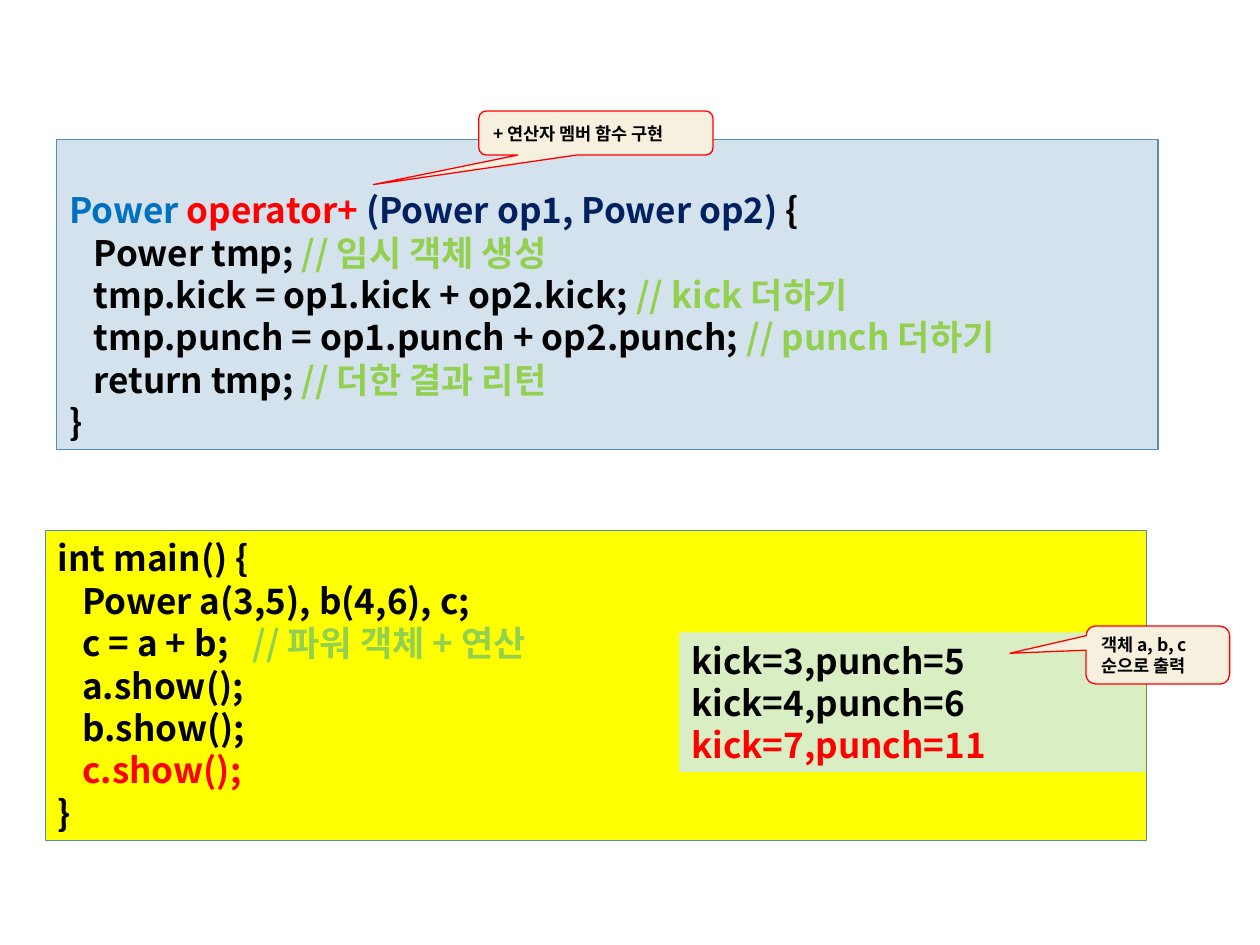
import pptx
import pptx.dml.color
import pptx.enum.shapes
import pptx.enum.text
import pptx.oxml.ns
import pptx.util
from lxml import etree

Pt = pptx.util.Pt
RGBColor = pptx.dml.color.RGBColor
SHAPES = pptx.enum.shapes.MSO_SHAPE
ANCHORS = pptx.enum.text.MSO_ANCHOR

FONT = "Noto Sans CJK KR"
LINE_PITCH = 1.21
TAB_STOP = 14

BLACK = RGBColor(0x00, 0x00, 0x00)
RED = RGBColor(0xFF, 0x00, 0x00)
BLUE = RGBColor(0x00, 0x70, 0xC0)
NAVY = RGBColor(0x00, 0x20, 0x60)
GREEN = RGBColor(0x92, 0xD0, 0x50)
STEEL = RGBColor(0x55, 0x8B, 0xB8)
PALE_BLUE = RGBColor(0xD4, 0xE2, 0xED)
YELLOW = RGBColor(0xFF, 0xFF, 0x00)
PALE_GREEN = RGBColor(0xDA, 0xEE, 0xC4)
CREAM = RGBColor(0xF7, 0xF0, 0xDE)

# Content: each line is a list of (text, colour) runs
OPERATOR_CODE = [
    [("Power ", BLUE), ("operator+ ", RED), ("(Power op1, Power op2) ", NAVY), ("{", BLACK)],
    [("\tPower tmp; ", BLACK), ("// 임시 객체 생성", GREEN)],
    [("\ttmp.kick = op1.kick + op2.kick; ", BLACK), ("// kick 더하기", GREEN)],
    [("\ttmp.punch = op1.punch + op2.punch; ", BLACK), ("// punch 더하기", GREEN)],
    [("\treturn tmp; ", BLACK), ("// 더한 결과 리턴", GREEN)],
    [("}", BLACK)],
]
MAIN_CODE = [
    [("int main() {", BLACK)],
    [("\tPower a(3,5), b(4,6), c;", BLACK)],
    [("\tc = a + b;   ", BLACK), ("// 파워 객체 + 연산", GREEN)],
    [("\ta.show();", BLACK)],
    [("\tb.show();", BLACK)],
    [("\tc.show();", RED)],
    [("}", BLACK)],
]
OUTPUT = [
    [("kick=3,punch=5", BLACK)],
    [("kick=4,punch=6", BLACK)],
    [("kick=7,punch=11", RED)],
]
OPERATOR_NOTE = [[("+ 연산자 멤버 함수 구현", BLACK)]]
OUTPUT_NOTE = [[("객체 a, b, c 순으로 출력", BLACK)]]

# Frames: (left, top, width, height), fill, outline, lines, top inset
PANELS = [
    ((32.4, 79.9, 629.3, 177.1), PALE_BLUE, STEEL, OPERATOR_CODE, 27.8),
    ((25.9, 303.1, 629.3, 177.1), YELLOW, STEEL, MAIN_CODE, 3.6),
    ((388.1, 361.4, 266.4, 79.9), PALE_GREEN, None, OUTPUT, 3.6),
]
# Callouts: frame, pointer adjustments, lines
CALLOUTS = [
    ((273.6, 63.4, 133.9, 25.2), (-0.95, 1.17, 0.17), OPERATOR_NOTE),
    ((620.6, 357.8, 82.1, 33.1), (-1.03, -0.03, 0.17), OUTPUT_NOTE),
]


def add_box(slide, kind, frame, fill, outline):
    shape = slide.shapes.add_shape(kind, *map(Pt, frame))
    shape.shadow.inherit = False
    shape.fill.solid()
    shape.fill.fore_color.rgb = fill
    if outline is None:
        shape.line.fill.background()
    else:
        shape.line.color.rgb = outline
        shape.line.width = Pt(0.75)
    return shape


def add_tab_stop(paragraph):
    properties = paragraph._p.get_or_add_pPr()
    tabs = etree.SubElement(properties, pptx.oxml.ns.qn("a:tabLst"))
    etree.SubElement(tabs, pptx.oxml.ns.qn("a:tab"), pos=str(Pt(TAB_STOP)), algn="l")


def write_lines(shape, lines, size, anchor):
    frame = shape.text_frame
    frame.word_wrap = True
    frame.vertical_anchor = anchor
    for index, line in enumerate(lines):
        paragraph = frame.paragraphs[0] if index == 0 else frame.add_paragraph()
        paragraph.alignment = pptx.enum.text.PP_ALIGN.LEFT
        paragraph.line_spacing = Pt(size * LINE_PITCH)
        add_tab_stop(paragraph)
        for text, colour in line:
            run = paragraph.add_run()
            run.text = text
            run.font.size = Pt(size)
            run.font.bold = True
            run.font.name = FONT
            run.font.color.rgb = colour
            # East Asian typeface for the Korean text
            etree.SubElement(run.font._element, pptx.oxml.ns.qn("a:ea"), typeface=FONT)


def main():
    presentation = pptx.Presentation()
    presentation.slide_width = Pt(720)
    presentation.slide_height = Pt(540)
    slide = presentation.slides.add_slide(presentation.slide_layouts[6])

    # Code and output panels
    for frame, fill, outline, lines, top_inset in PANELS:
        panel = add_box(slide, SHAPES.RECTANGLE, frame, fill, outline)
        panel.text_frame.margin_top = Pt(top_inset)
        write_lines(panel, lines, 20, ANCHORS.TOP)

    # Explanatory callouts
    for frame, pointer, lines in CALLOUTS:
        callout = add_box(slide, SHAPES.ROUNDED_RECTANGULAR_CALLOUT, frame, CREAM, RED)
        for index, value in enumerate(pointer):
            callout.adjustments[index] = value
        write_lines(callout, lines, 10, ANCHORS.MIDDLE)

    presentation.save("out.pptx")


if __name__ == "__main__":
    main()
